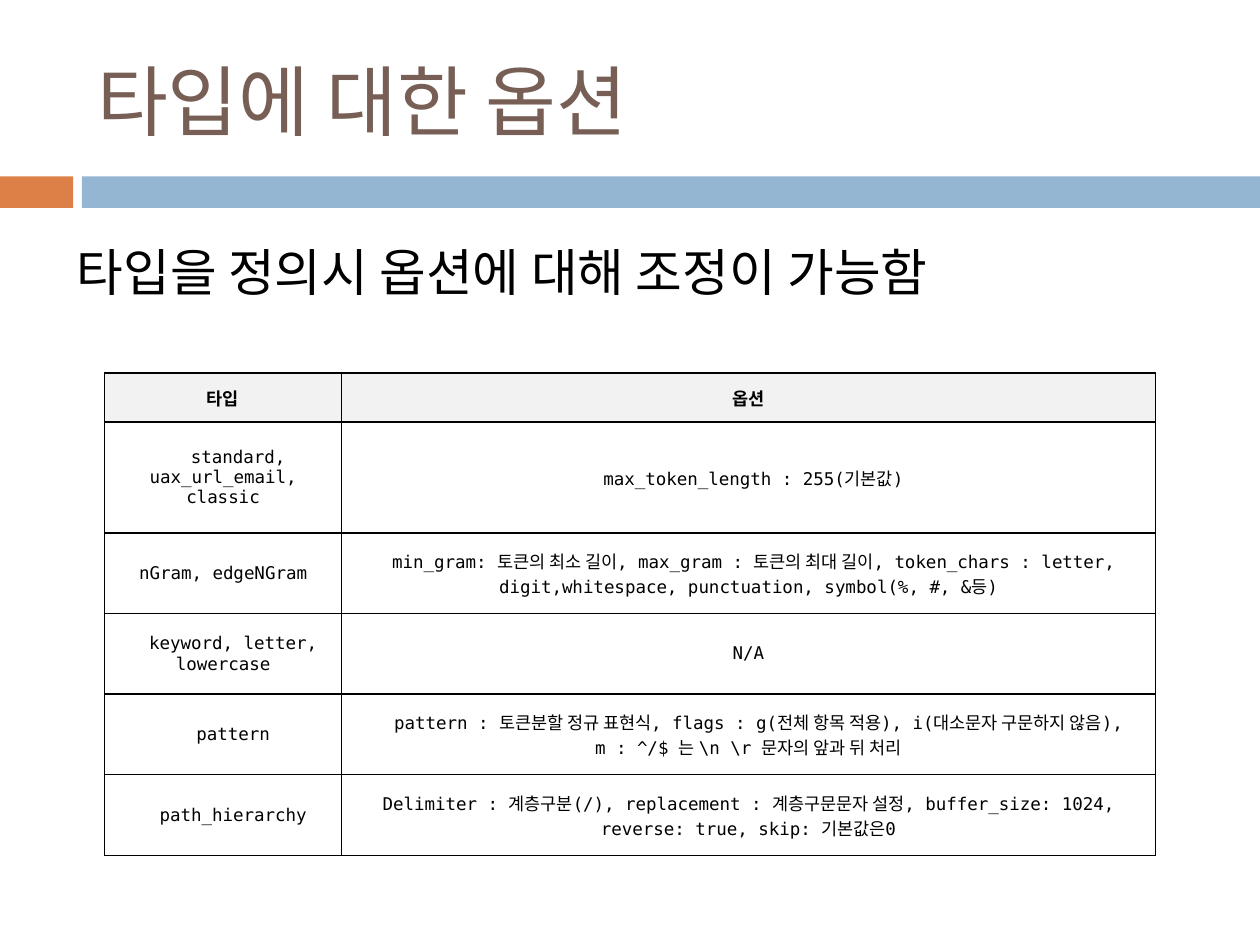
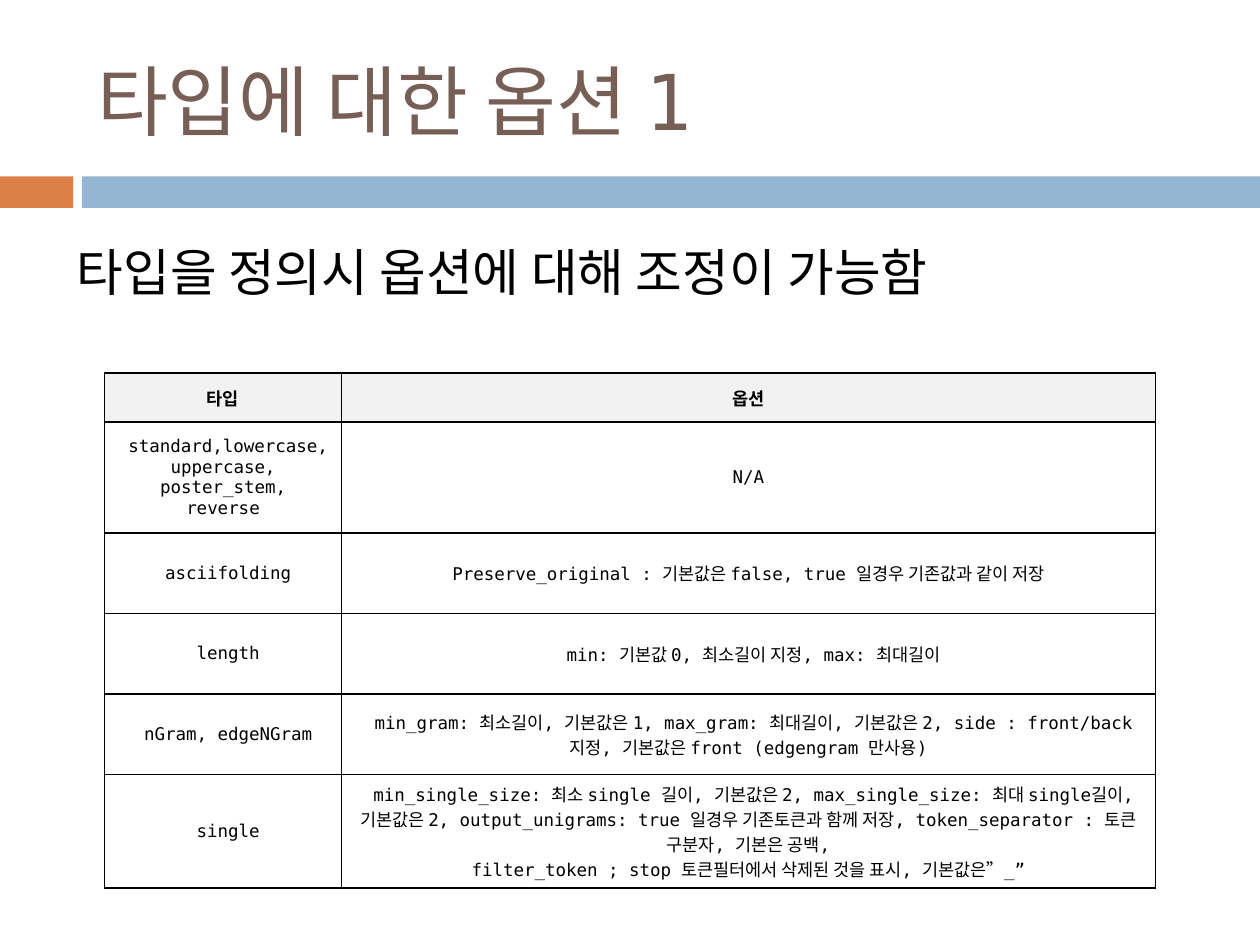
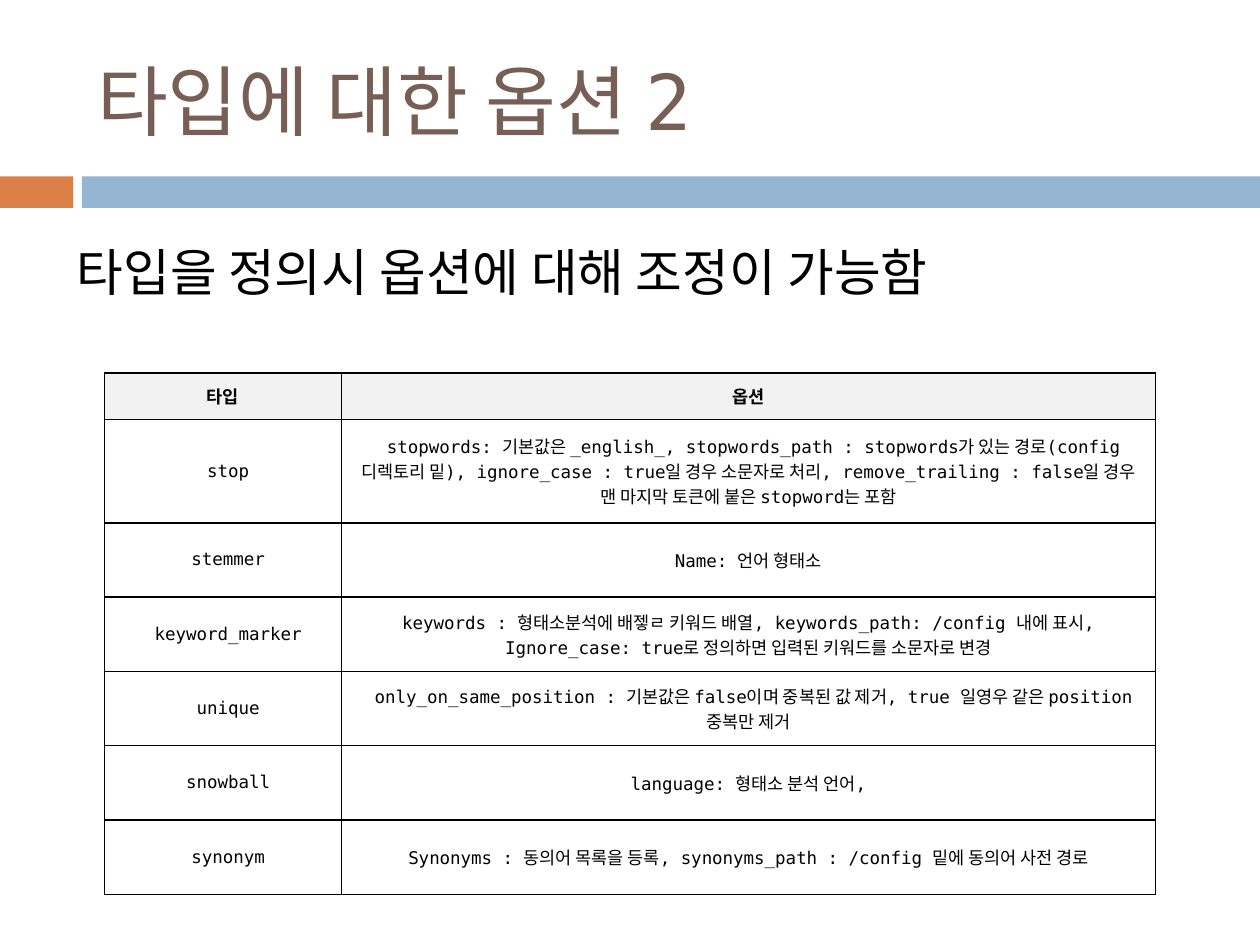
from typing import NamedTuple

from lxml import etree
from pptx import Presentation
from pptx.dml.color import RGBColor
from pptx.enum.shapes import MSO_SHAPE
from pptx.enum.text import MSO_ANCHOR, MSO_AUTO_SIZE, PP_ALIGN
from pptx.oxml.ns import qn
from pptx.util import Inches, Pt

RECT = MSO_SHAPE.RECTANGLE
MIDDLE = MSO_ANCHOR.MIDDLE
TOP = MSO_ANCHOR.TOP
LEFT = PP_ALIGN.LEFT
CENTER = PP_ALIGN.CENTER
NO_FIT = MSO_AUTO_SIZE.NONE

ORANGE = RGBColor(0xDD, 0x80, 0x47)
BLUE = RGBColor(0x94, 0xB6, 0xD2)
BROWN = RGBColor(0x77, 0x5F, 0x55)
BLACK = RGBColor(0, 0, 0)
GRAY = RGBColor(0xF2, 0xF2, 0xF2)

FONT = "DejaVu Sans Mono"
CHAR = 0.08  # width in inches of one 10 pt character
COLS = (1.88, 6.46)
LEDE = "타입을 정의시 옵션에 대해 조정이 가능함"


class Band(NamedTuple):
    left: float
    width: float
    color: RGBColor


class Row(NamedTuple):
    """One table row; the leads count characters of first-line indent."""
    kind: str
    option: str
    kind_lead: int = 1
    option_lead: int = 1


class Page(NamedTuple):
    title: str
    heights: list[float]
    rows: list[Row]


BANDS = (Band(0, 0.58, ORANGE), Band(0.65, 9.35, BLUE))
HEAD = Row("타입", "옵션", 0, 0)

PAGES = [
    Page("타입에 대한 옵션", [0.39, 0.88] + [0.64] * 4, [
        Row("standard, uax_url_email,\nclassic",
            "max_token_length : 255(기본값)", 3),
        Row("nGram, edgeNGram",
            "min_gram: 토큰의 최소 길이, max_gram : 토큰의 최대 길이, "
            "token_chars : letter, digit,whitespace, punctuation, "
            "symbol(%, #, &등)", 0),
        Row("keyword, letter, lowercase", "N/A", 2, 0),
        Row("pattern",
            "pattern : 토큰분할 정규 표현식, flags : g(전체 항목 적용), "
            "i(대소문자 구문하지 않음), m : ^/$ 는 \\n \\r 문자의 앞과 뒤 처리", 2, 2),
        Row("path_hierarchy",
            "Delimiter : 계층구분(/), replacement : 계층구문문자 설정, "
            "buffer_size: 1024, reverse: true, skip: 기본값은0", 2, 0),
    ]),
    Page("타입에 대한 옵션 1", [0.39, 0.88] + [0.64] * 3 + [0.9], [
        Row("standard,lowercase, uppercase, poster_stem,\nreverse", "N/A", 1, 0),
        Row("asciifolding",
            "Preserve_original : 기본값은 false, true 일경우 기존값과 같이 저장", 1, 0),
        Row("length", "min: 기본값 0, 최소길이 지정, max: 최대길이"),
        Row("nGram, edgeNGram",
            "min_gram: 최소길이, 기본값은 1, max_gram: 최대길이, 기본값은 2, "
            "side : front/back 지정, 기본값은 front (edgengram 만사용)"),
        Row("single",
            "min_single_size: 최소 single 길이, 기본값은 2, "
            "max_single_size: 최대 single길이, 기본값은 2, "
            "output_unigrams: true 일경우 기존토큰과 함께 저장, "
            "token_separator : 토큰 구분자, 기본은 공백,\n"
            "filter_token ; stop 토큰필터에서 삭제된 것을 표시, 기본값은”_”"),
    ]),
    Page("타입에 대한 옵션 2", [0.37, 0.82] + [0.59] * 5, [
        Row("stop",
            "stopwords: 기본값은 _english_, stopwords_path : stopwords가 있는 "
            "경로(config 디렉토리 밑), ignore_case : true일 경우 소문자로 처리, "
            "remove_trailing : false일 경우 맨 마지막 토큰에 붙은 stopword는 포함"),
        Row("stemmer", "Name: 언어 형태소", 1, 0),
        Row("keyword_marker",
            "keywords : 형태소분석에 배젷ㄹ 키워드 배열, "
            "keywords_path: /config 내에 표시,\n"
            "Ignore_case: true로 정의하면 입력된 키워드를 소문자로 변경", 1, 0),
        Row("unique",
            "only_on_same_position : 기본값은 false이며 중복된 값 제거, "
            "true 일영우 같은 position 중복만 제거"),
        Row("snowball", "language: 형태소 분석 언어,", 1, 0),
        Row("synonym",
            "Synonyms : 동의어 목록을 등록, "
            "synonyms_path : /config 밑에 동의어 사전 경로", 1, 0),
    ]),
]


def write(frame, text: str, *, size: float, color=BLACK, bold=False,
          align=LEFT, before: float = 0, lead: int = 0) -> None:
    """Fill a text frame, one paragraph a line; lead indents the first line."""
    frame.text = text
    for para in frame.paragraphs:
        para.alignment = align
        para.space_before = Pt(before)
        for run in para.runs:
            font = run.font
            font.name, font.size, font.bold = FONT, Pt(size), bold
            font.color.rgb = color
    if lead:
        props = frame.paragraphs[0]._p.get_or_add_pPr()
        props.set("marL", "0")
        props.set("indent", str(Inches(lead * CHAR)))


def add_band(slide, band: Band) -> None:
    shape = slide.shapes.add_shape(
        RECT, Inches(band.left), Inches(1.4), Inches(band.width), Inches(0.25))
    shape.shadow.inherit = False
    shape.fill.solid()
    shape.fill.fore_color.rgb = band.color
    shape.line.fill.background()


def add_title(slide, text: str) -> None:
    title = slide.shapes.title
    title.left, title.top = Inches(0.67), Inches(0.25)
    title.width, title.height = Inches(8.92), Inches(1.08)
    frame = title.text_frame
    frame.auto_size = NO_FIT
    frame.vertical_anchor = MIDDLE
    write(frame, text, size=44, color=BROWN)


def add_lede(slide) -> None:
    box = slide.shapes.add_textbox(
        Inches(0.51), Inches(1.86), Inches(9), Inches(1.3))
    frame = box.text_frame
    frame.word_wrap = True
    frame.vertical_anchor = TOP
    write(frame, LEDE, size=29, before=7)


def add_edges(cell) -> None:
    props = cell._tc.get_or_add_tcPr()
    for side in ("lnL", "lnR", "lnT", "lnB"):
        line = etree.SubElement(props, qn(f"a:{side}"), w=str(Pt(1)))
        fill = etree.SubElement(line, qn("a:solidFill"))
        etree.SubElement(fill, qn("a:srgbClr"), val=str(BLACK))


def add_grid(slide, page: Page) -> None:
    rows = [HEAD, *page.rows]
    table = slide.shapes.add_table(
        len(rows), len(COLS), Inches(0.83), Inches(2.96),
        Inches(sum(COLS)), Inches(sum(page.heights))).table
    table.first_row = table.horz_banding = False
    for col, width in zip(table.columns, COLS):
        col.width = Inches(width)
    for i, (row, height) in enumerate(zip(rows, page.heights)):
        table.rows[i].height = Inches(height)
        parts = ((row.kind, row.kind_lead), (row.option, row.option_lead))
        for j, (text, lead) in enumerate(parts):
            cell = table.cell(i, j)
            cell.vertical_anchor = MIDDLE
            add_edges(cell)
            if row is HEAD:
                cell.fill.solid()
                cell.fill.fore_color.rgb = GRAY
            else:
                cell.fill.background()
            write(cell.text_frame, text, size=10, bold=row is HEAD,
                  align=CENTER, lead=lead)


def main() -> None:
    deck = Presentation()
    deck.slide_width, deck.slide_height = Inches(10), Inches(7.5)
    layout = deck.slide_layouts.get_by_name("Title Only")
    for page in PAGES:
        slide = deck.slides.add_slide(layout)
        for band in BANDS:
            add_band(slide, band)
        add_title(slide, page.title)
        add_lede(slide)
        add_grid(slide, page)
    deck.save("out.pptx")


if __name__ == "__main__":
    main()
